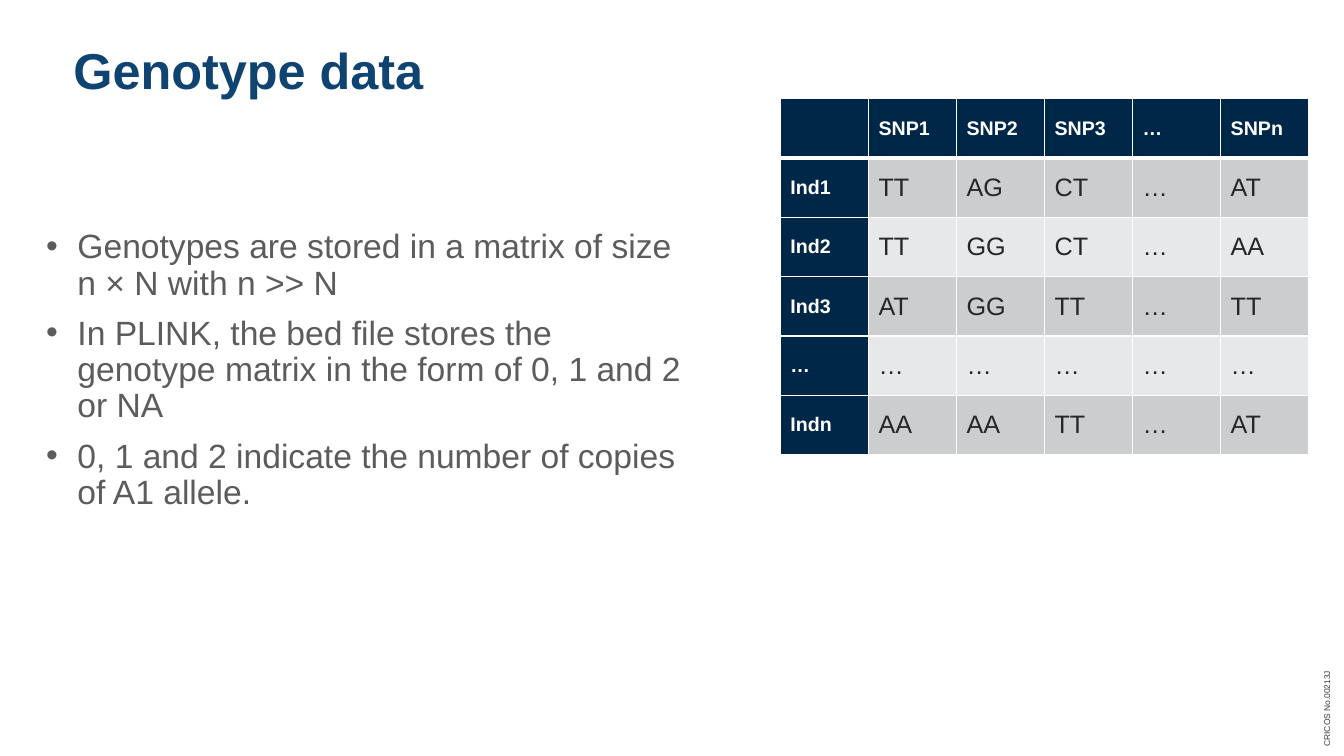
from lxml.etree import SubElement
from pptx import Presentation
from pptx.dml.color import RGBColor
from pptx.enum.text import MSO_ANCHOR as Anchor, MSO_AUTO_SIZE as AutoSize, PP_ALIGN as Align
from pptx.oxml.ns import qn
from pptx.util import Inches, Pt


def color(hex_code):
    return RGBColor.from_string(hex_code)


class SlideBuilder:
    FONT = "Arial"
    NAVY, WHITE, INK = "002648", "FFFFFF", "262626"
    BANDS = ("CCCDCF", "E7E8E9")

    def __init__(self, slide):
        self.slide = slide

    def style(self, font, size, hex_code, bold=False):
        formats = {"name": self.FONT, "size": Pt(size), "bold": bold}
        for name, value in formats.items():
            setattr(font, name, value)
        font.color.rgb = color(hex_code)

    def text(self, box, lines, size, hex_code, bold=False, bullet=None, rotation=0,
             frame_format=None, paragraph_format=None):
        holder = self.slide.shapes.add_textbox(*map(Inches, box))
        holder.rotation = rotation
        frame = holder.text_frame
        for name, value in {"word_wrap": True, **(frame_format or {})}.items():
            setattr(frame, name, value)
        for index, line in enumerate(lines):
            paragraph = frame.add_paragraph() if index else frame.paragraphs[0]
            if bullet:
                self.bullet(paragraph, bullet)
            for name, value in (paragraph_format or {}).items():
                setattr(paragraph, name, value)
            paragraph.space_before = Pt(10 if index else 0)
            run = paragraph.add_run()
            run.text = line
            self.style(run.font, size, hex_code, bold)

    def bullet(self, paragraph, mark):
        properties = paragraph._p.get_or_add_pPr()
        indent = Inches(0.31)
        properties.set("marL", str(indent))
        properties.set("indent", str(-indent))
        SubElement(properties, qn("a:buFont"), typeface=self.FONT)
        SubElement(properties, qn("a:buChar"), char=mark)

    def borders(self, cell, widths):
        properties = cell._tc.get_or_add_tcPr()
        for side, width in widths.items():
            line = SubElement(properties, qn(f"a:ln{side}"), w=str(Pt(width)))
            fill = SubElement(line, qn("a:solidFill"))
            SubElement(fill, qn("a:srgbClr"), val=self.WHITE)

    def table(self, box, rows):
        left, top, width, height = map(Inches, box)
        grid = self.slide.shapes.add_table(
            len(rows), len(rows[0]), left, top, width, height).table
        for r, row in enumerate(rows):
            for c, value in enumerate(row):
                cell = grid.cell(r, c)
                heading = r == 0 or c == 0
                # The rule under the header row is heavier
                self.borders(cell, {"L": 1, "R": 1, "T": 3 if r == 1 else 1,
                                    "B": 3 if r == 0 else 1})
                cell.fill.solid()
                cell.fill.fore_color.rgb = color(
                    self.NAVY if heading else self.BANDS[(r - 1) % 2])
                cell.vertical_anchor = Anchor.MIDDLE
                if value:
                    run = cell.text_frame.paragraphs[0].add_run()
                    run.text = value
                    self.style(run.font, 14 if heading else 18,
                               self.WHITE if heading else self.INK, heading)


def main():
    deck = Presentation()
    deck.slide_width, deck.slide_height = Inches(13.33), Inches(7.5)
    builder = SlideBuilder(deck.slides.add_slide(deck.slide_layouts[6]))

    # Provider code along the right edge
    builder.text((12.68, 6.93, 0.96, 0.2), ["CRICOS No.00213J"], 6, "3B3838",
                 rotation=270,
                 frame_format={"word_wrap": False,
                               "auto_size": AutoSize.SHAPE_TO_FIT_TEXT},
                 paragraph_format={"alignment": Align.CENTER})

    # Title
    builder.text((0.63, 0, 11.5, 1.45), ["Genotype data"], 36, "0F4372", bold=True,
                 frame_format={"vertical_anchor": Anchor.MIDDLE},
                 paragraph_format={"line_spacing": 0.9})

    # Key points
    points = [
        "Genotypes are stored in a matrix of size n × N with n >> N",
        "In PLINK, the bed file stores the genotype matrix in the form of 0, 1 and 2 or NA",
        "0, 1 and 2 indicate the number of copies of A1 allele.",
    ]
    builder.text((0.36, 2.23, 6.62, 3.67), points, 24, "5C5C5C", bullet="•",
                 paragraph_format={"line_spacing": 0.9})

    # Genotype matrix
    genotypes = [
        ["", "SNP1", "SNP2", "SNP3", "…", "SNPn"],
        ["Ind1", "TT", "AG", "CT", "…", "AT"],
        ["Ind2", "TT", "GG", "CT", "…", "AA"],
        ["Ind3", "AT", "GG", "TT", "…", "TT"],
        ["…"] * 6,
        ["Indn", "AA", "AA", "TT", "…", "AT"],
    ]
    builder.table((7.74, 0.98, 5.24, 3.53), genotypes)

    deck.save("out.pptx")


if __name__ == "__main__":
    main()
